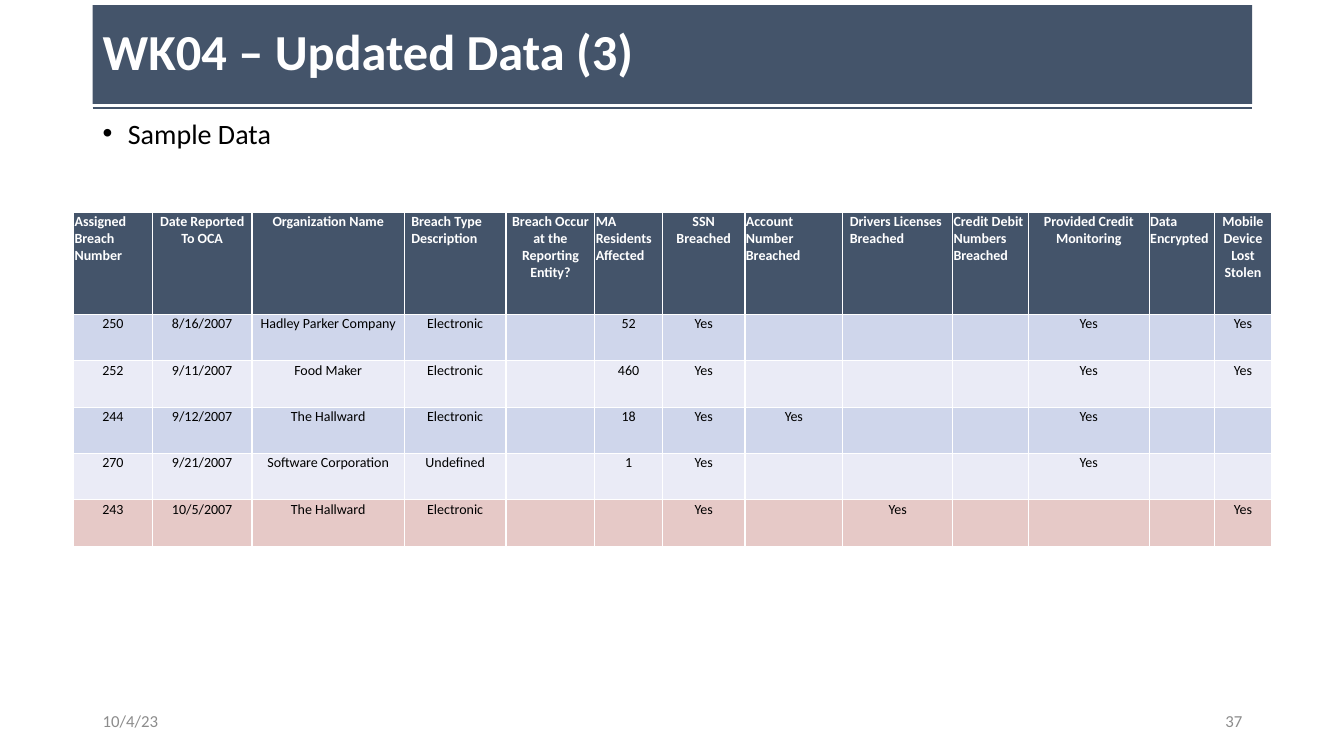
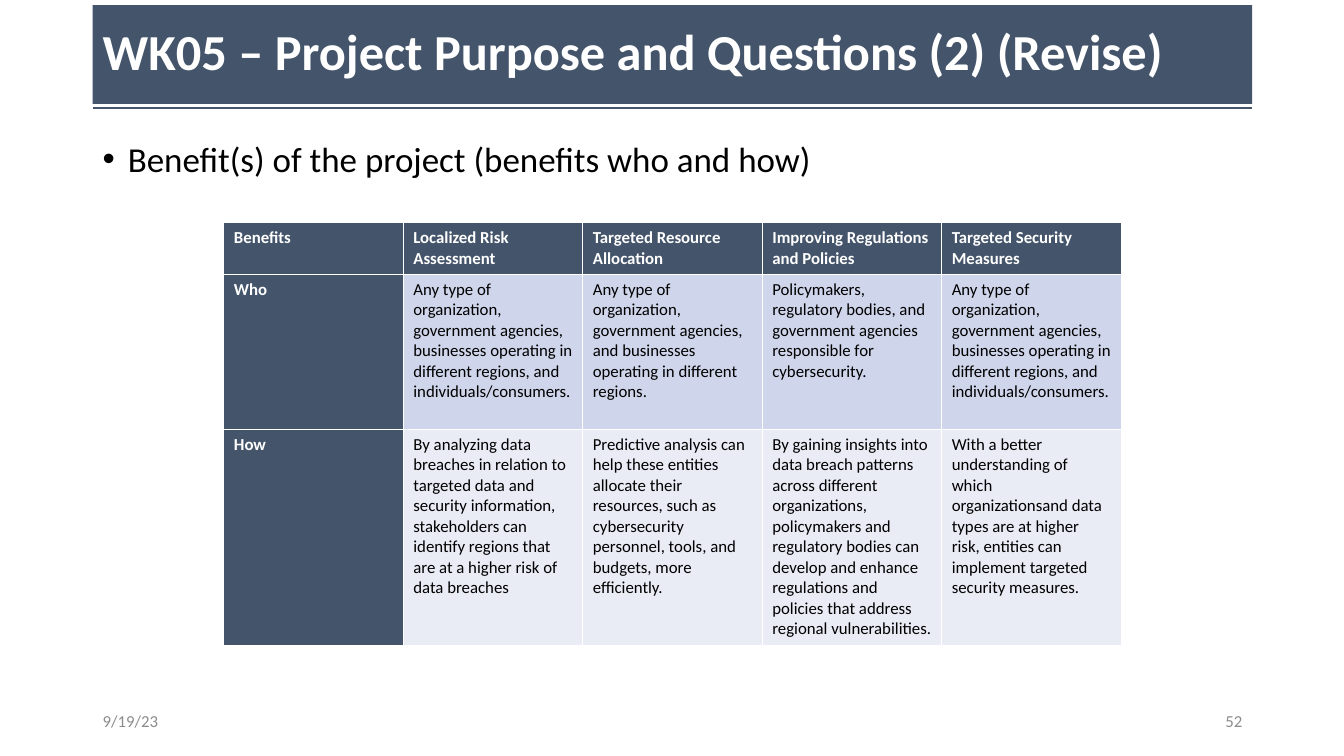
from dataclasses import dataclass

from lxml import etree
from pptx import Presentation
from pptx.dml.color import RGBColor
from pptx.enum.shapes import MSO_CONNECTOR, MSO_SHAPE
from pptx.enum.text import MSO_ANCHOR, PP_ALIGN
from pptx.oxml.ns import qn
from pptx.util import Inches, Pt

LEFT, CENTER, RIGHT = PP_ALIGN.LEFT, PP_ALIGN.CENTER, PP_ALIGN.RIGHT
TOP, MIDDLE = MSO_ANCHOR.TOP, MSO_ANCHOR.MIDDLE
RECT, STRAIGHT = MSO_SHAPE.RECTANGLE, MSO_CONNECTOR.STRAIGHT


@dataclass(frozen=True)
class Theme:
    font: str = "Calibri"
    navy: str = "44546A"
    white: str = "FFFFFF"
    black: str = "000000"
    gray: str = "8C8C8C"
    band: tuple = ("CFD6EB", "EAEBF6")
    soft: tuple = ("CFD5EA", "E9EBF5")
    alert: str = "E6C9C7"
    title: int = 36
    foot: int = 12
    rule: float = 1.5
    edge: int = 1


THEME = Theme()
SIDE, WIDE = 0.92, 11.5
PAD = (0.1, 0.05, 0.1, 0.05)
TIGHT = (0.01, 0.01, 0.01, 0)
INDENT = (0.07, 0.01, 0.01, 0)

BREACH_COLS = [0.78, 0.99, 1.51, 1.01, 0.88, 0.67, 0.82, 0.97, 1.09, 0.75,
               1.2, 0.65, 0.56]
BREACH_ROWS = [1.01] + [0.46] * 5
BREACHES = [
    ["Assigned Breach Number", "Date Reported To OCA", "Organization Name",
     "Breach Type Description", "Breach Occur at the Reporting Entity?",
     "MA Residents Affected", "SSN\nBreached", "Account Number Breached",
     "Drivers Licenses Breached", "Credit Debit Numbers Breached",
     "Provided Credit Monitoring", "Data Encrypted",
     "Mobile Device Lost Stolen"],
    ["250", "8/16/2007", "Hadley Parker Company", "Electronic", "", "52",
     "Yes", "", "", "", "Yes", "", "Yes"],
    ["252", "9/11/2007", "Food Maker", "Electronic", "", "460",
     "Yes", "", "", "", "Yes", "", "Yes"],
    ["244", "9/12/2007", "The Hallward", "Electronic", "", "18",
     "Yes", "Yes", "", "", "Yes", "", ""],
    ["270", "9/21/2007", "Software Corporation", "Undefined", "", "1",
     "Yes", "", "", "", "Yes", "", ""],
    ["243", "10/5/2007", "The Hallward", "Electronic", "", "",
     "Yes", "", "Yes", "", "", "", "Yes"],
]
CENTERED = {1, 2, 4, 6, 10, 12}
INDENTED = {3, 8}

PUBLIC = ("Any type of organization, government agencies, businesses operating "
          "in different regions, and individuals/consumers.")
BENEFITS = [
    ["Benefits", "Localized Risk Assessment", "Targeted Resource Allocation",
     "Improving Regulations and Policies", "Targeted Security Measures"],
    ["Who", PUBLIC,
     "Any type of organization, government agencies, and businesses operating "
     "in different regions.",
     "Policymakers, regulatory bodies, and government agencies responsible for "
     "cybersecurity.",
     PUBLIC],
    ["How",
     "By analyzing data breaches in relation to targeted data and security "
     "information, stakeholders can identify regions that are at a higher risk "
     "of data breaches",
     "Predictive analysis can help these entities allocate their resources, "
     "such as cybersecurity personnel, tools, and budgets, more efficiently.",
     "By gaining insights into data breach patterns across different "
     "organizations, policymakers and regulatory bodies can develop and enhance "
     "regulations and policies that address regional vulnerabilities.",
     "With a better understanding of which organizationsand data types are at "
     "higher risk, entities can implement targeted security measures."],
]


def rgb(code):
    return RGBColor.from_string(code)


def assign(item, values):
    for name, value in values.items():
        setattr(item, name, value)


def write(frame, text, size, color, bold=False, align=LEFT, **form):
    """Fill a text frame, one paragraph for each line of text."""
    for num, line in enumerate(text.split("\n")):
        para = frame.add_paragraph() if num else frame.paragraphs[0]
        assign(para, {"alignment": align, **form})
        if line:
            run = para.add_run()
            run.text = line
            assign(run.font, {"name": THEME.font, "size": Pt(size), "bold": bold})
            run.font.color.rgb = rgb(color)


def inset(item, pad):
    sides = ("margin_left", "margin_top", "margin_right", "margin_bottom")
    assign(item, dict(zip(sides, map(Inches, pad))))


def label(slide, box, text, size, color, anchor=TOP, **form):
    frame = slide.shapes.add_textbox(*map(Inches, box)).text_frame
    assign(frame, {"word_wrap": True, "vertical_anchor": anchor})
    inset(frame, PAD)
    write(frame, text, size, color, **form)
    return frame


def banner(slide, box, text):
    """Draw the title band with the rule under it."""
    left, top, width, height = box
    band = slide.shapes.add_shape(RECT, *map(Inches, box))
    band.shadow.inherit = False
    band.fill.solid()
    band.fill.fore_color.rgb = rgb(THEME.navy)
    band.line.fill.background()
    frame = band.text_frame
    assign(frame, {"word_wrap": True, "vertical_anchor": MIDDLE})
    inset(frame, PAD)
    write(frame, text, THEME.title, THEME.white, bold=True, line_spacing=0.9)
    low = top + height + 0.04
    ends = (left, low, left + width, low)
    rule = slide.shapes.add_connector(STRAIGHT, *map(Inches, ends))
    rule.line.width = Pt(THEME.rule)
    rule.line.color.rgb = rgb(THEME.navy)
    etree.SubElement(rule.element.spPr, qn("a:effectLst"))


def footer(slide, box, date, page):
    left, top, width, height = box
    part = 3
    for start, text, align in ((left, date, LEFT),
                               (left + width - part, page, RIGHT)):
        label(slide, (start, top, part, height), text, THEME.foot, THEME.gray,
              anchor=MIDDLE, align=align)


def bullet(slide, box, text, size):
    frame = label(slide, box, text, size, THEME.black, line_spacing=0.9,
                  space_after=Pt(6))
    props = frame.paragraphs[0]._p.get_or_add_pPr()
    hang = Inches(0.25)
    props.set("marL", str(hang))
    props.set("indent", str(-hang))
    etree.SubElement(props, qn("a:buFont"), typeface="Arial")
    etree.SubElement(props, qn("a:buChar"), char="•")


def border(cell):
    props = cell._tc.get_or_add_tcPr()
    for side in ("a:lnL", "a:lnR", "a:lnT", "a:lnB"):
        line = etree.SubElement(props, qn(side), w=str(Pt(THEME.edge)))
        fill = etree.SubElement(line, qn("a:solidFill"))
        etree.SubElement(fill, qn("a:srgbClr"), val=THEME.white)


def grid(slide, spot, cols, rows, data, size, style):
    """Draw a table; style(row, col) gives fill, head flag, align and insets."""
    box = (*spot, sum(cols), sum(rows))
    table = slide.shapes.add_table(len(rows), len(cols),
                                   *map(Inches, box)).table
    for col, width in zip(table.columns, cols):
        col.width = Inches(width)
    for row, height in zip(table.rows, rows):
        row.height = Inches(height)
    for r, texts in enumerate(data):
        for c, text in enumerate(texts):
            fill, head, align, pad = style(r, c)
            cell = table.cell(r, c)
            inset(cell, pad)
            border(cell)
            cell.fill.solid()
            cell.fill.fore_color.rgb = rgb(fill)
            write(cell.text_frame, text, size,
                  THEME.white if head else THEME.black, bold=head, align=align)


def breach(row, col):
    if row == 0:
        return (THEME.navy, True, CENTER if col in CENTERED else LEFT,
                INDENT if col in INDENTED else TIGHT)
    last = row == len(BREACHES) - 1
    fill = THEME.alert if last else THEME.band[(row - 1) % 2]
    return fill, False, CENTER, TIGHT


def benefit(row, col):
    head = row == 0 or col == 0
    return THEME.navy if head else THEME.soft[row - 1], head, LEFT, PAD


def page(deck, title, date, number):
    slide = deck.slides.add_slide(deck.slide_layouts[6])
    banner(slide, (SIDE, 0.05, WIDE, 0.98), title)
    footer(slide, (SIDE, 6.95, WIDE, 0.4), date, number)
    return slide


def sample(deck):
    slide = page(deck, "WK04 – Updated Data (3)", "10/4/23", "37")
    bullet(slide, (SIDE, 1.14, WIDE, 5.62), "Sample Data", 20)
    grid(slide, (0.73, 2.11), BREACH_COLS, BREACH_ROWS, BREACHES, 10, breach)


def purpose(deck):
    slide = page(deck, "WK05 – Project Purpose and Questions (2) (Revise)",
                 "9/19/23", "52")
    bullet(slide, (SIDE, 1.36, WIDE, 5.79),
           "Benefit(s) of the project (benefits who and how)", 25)
    grid(slide, (2.22, 2.21), [1.78] * 5, [0.51, 1.54, 2.15], BENEFITS, 12,
         benefit)


def main():
    deck = Presentation()
    assign(deck, {"slide_width": Inches(13.33), "slide_height": Inches(7.5)})
    sample(deck)
    purpose(deck)
    deck.save("out.pptx")


if __name__ == "__main__":
    main()
